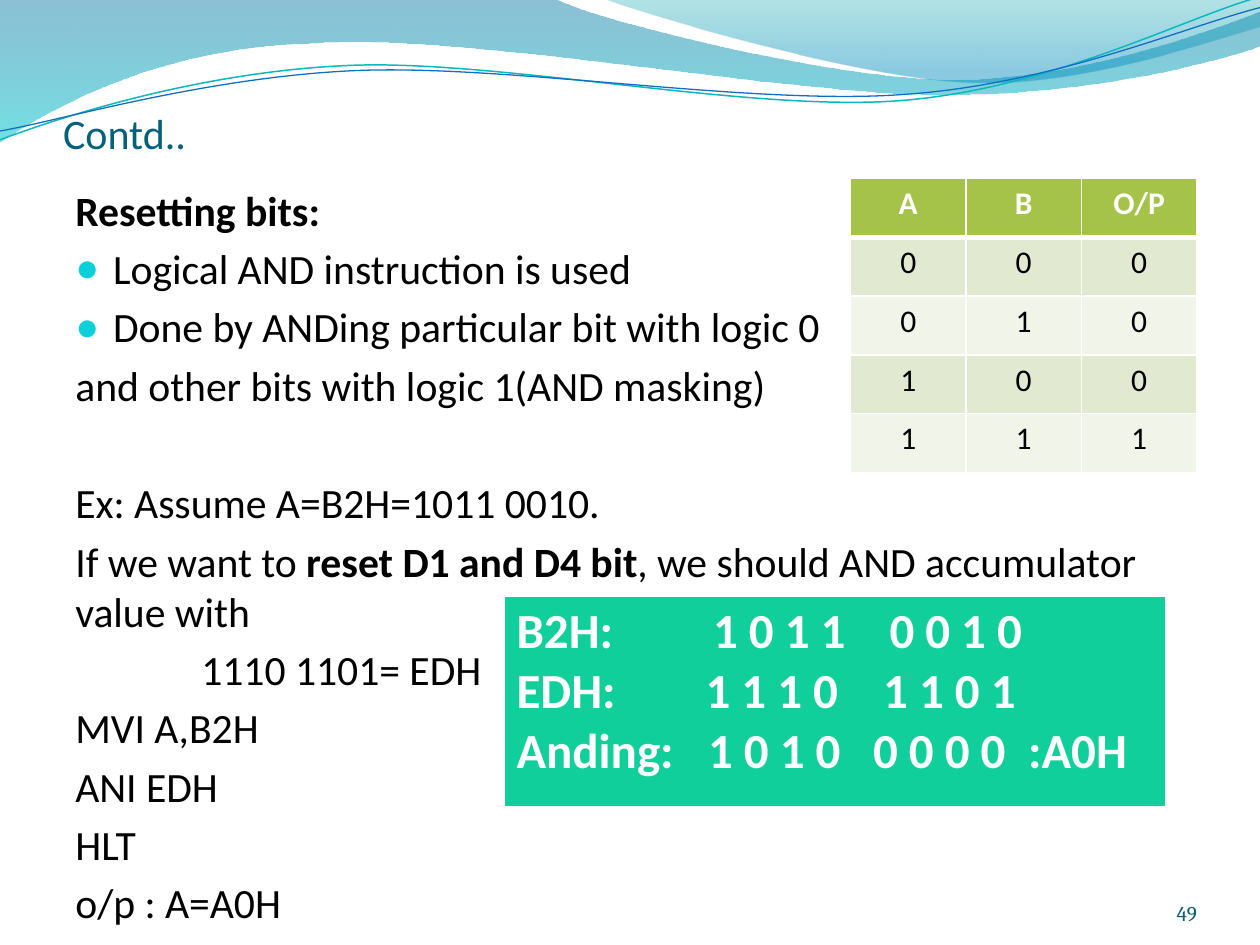
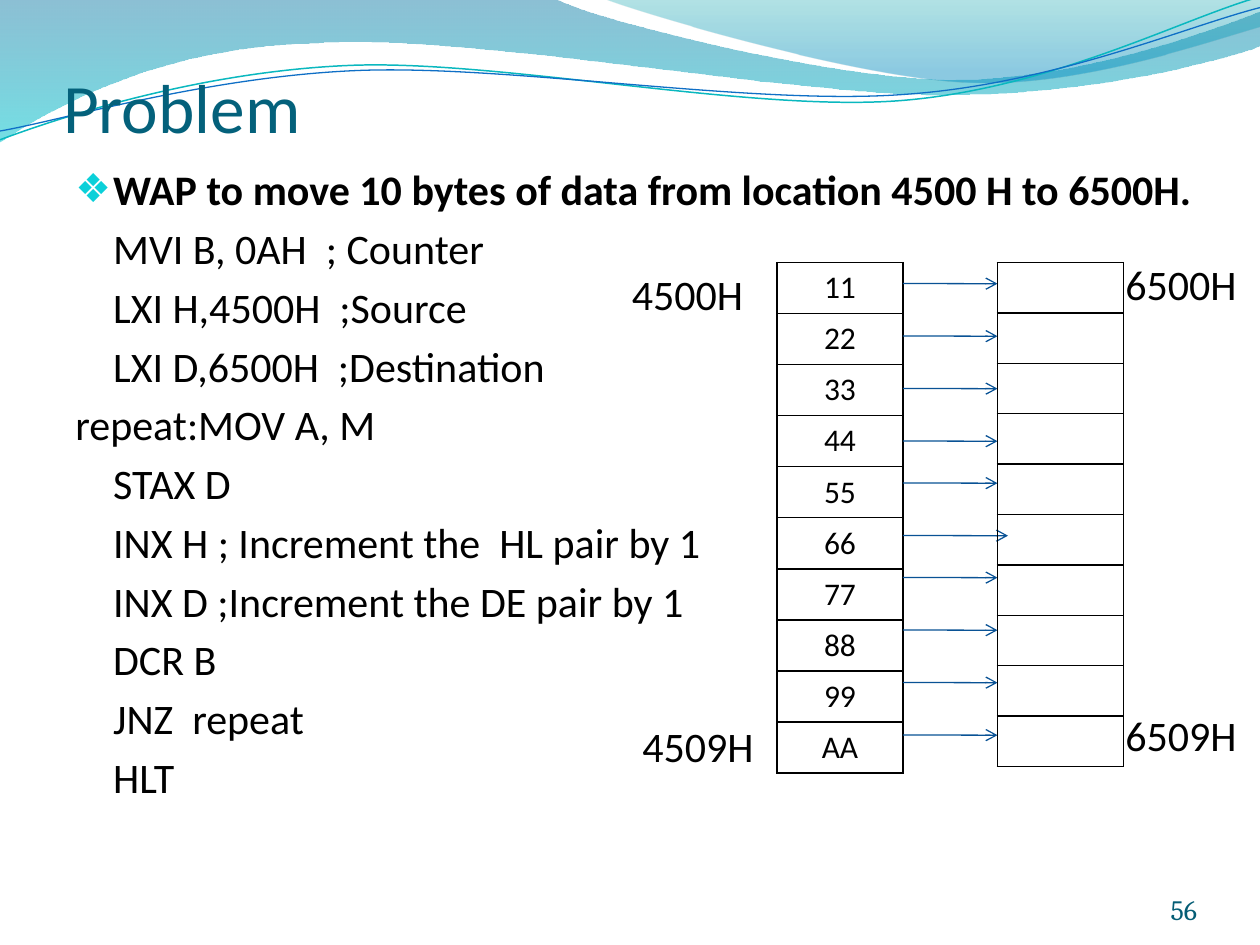
from dataclasses import dataclass
from math import cos, radians, sin
from typing import Any, Optional, Sequence

from lxml.etree import SubElement
from pptx import Presentation
from pptx.dml.color import RGBColor
from pptx.enum.shapes import MSO_CONNECTOR
from pptx.enum.text import MSO_ANCHOR, MSO_AUTO_SIZE, PP_ALIGN
from pptx.oxml.ns import qn
from pptx.util import Emu, Inches, Pt

COLS, ROWS = 120, 90  # slide grid: twelve units to the inch


@dataclass(frozen=True)
class Theme:
    """Colours, fonts and type sizes of the deck."""
    font: str = "Calibri"
    number_font: str = "Cambria"
    title: str = "04617B"
    text: str = "000000"
    light: str = "FFFFFF"
    number: str = "045D75"
    bullet: str = "0BD0D9"
    arrow: str = "095295"
    header: str = "A5C249"
    bands: tuple = ("E1E9D0", "F0F4E9")
    panel: str = "10CF9B"
    cell_size: float = 18
    panel_size: float = 28
    label_size: float = 24


@dataclass(frozen=True)
class Box:
    """A place on the slide, in grid columns and rows."""
    x: float
    y: float
    w: float
    h: float

    def emu(self) -> tuple:
        """Left, top, width and height in EMU."""
        return unit(self.x), unit(self.y), unit(self.w), unit(self.h)


@dataclass(frozen=True)
class Para:
    """A paragraph; text between ** marks is bold."""
    text: str
    left: float = 0
    first: float = 0
    bullet: str = ""
    gap: int = 20  # space before, in percent


@dataclass(frozen=True)
class Wave:
    """A header curve in inches: pairs are corners, sixes are Bezier curves."""
    frame: tuple  # left, top, width, height before turning
    start: tuple
    steps: tuple
    stops: tuple = ()  # position, colour, opacity
    line: tuple = ()  # colour, width
    turn: float = 0


T = Theme()

WAVES = (
    Wave((-0.01, -0.01, 10.02, 1.14), (0, 0),
         ((4.4, -0.01), (4.76, 0.17, 6.64, 0.63, 7.58, 0.63),
          (8.53, 0.63, 9.58, 0.26, 10, 0.09), (10.01, 0.36),
          (9.83, 0.44, 8.7, 0.76, 7.46, 0.75), (6.22, 0.75, 3.82, 0.28, 2.57, 0.34),
          (1.29, 0.36, 0.46, 0.83, -0.01, 1.13), (0, 0)),
         stops=((0, "0074A1", 45), (1, "00C6CF", 55))),
    Wave((4.79, -0.01, 5.21, 0.7), (4.79, -0.01),
         ((5.09, 0.11, 6.82, 0.62, 7.69, 0.65), (8.56, 0.69, 9.61, 0.32, 10, 0.21),
          (10, 0), (4.79, -0.01)),
         stops=((0, "00A1A9", 30), (0.8, "008BBF", 45))),
    Wave((-0.02, 0.22, 10.02, 0.71), (0, 1.11),
         ((0.48, 0.93, 1.58, 0.57, 2.77, 0.52), (3.95, 0.47, 5.93, 0.89, 7.13, 0.8),
          (8.33, 0.71, 9.38, 0.15, 9.98, -0.02)), line=("0AB8BF", 0.85), turn=357.3),
    Wave((-0.02, 0.3, 10.03, 0.58), (0, 1.04),
         ((0.47, 0.96, 1.64, 0.61, 2.83, 0.56), (4.03, 0.51, 5.97, 0.84, 7.17, 0.75),
          (8.36, 0.67, 9.41, 0.21, 10, 0.06)), line=("0F6FC6", 0.75), turn=357.3),
)


def unit(n: float) -> Emu:
    """Grid units as a length."""
    return Inches(n / 12)


def rgb(code: str) -> RGBColor:
    """A colour from its hex code."""
    return RGBColor.from_string(code)


def apply(obj: Any, values: dict) -> None:
    """Set each named attribute of an object."""
    for name, value in values.items():
        setattr(obj, name, value)


def place(sp: Any, lengths: Sequence[int]) -> None:
    """Set left, top, width and height."""
    apply(sp, dict(zip(("left", "top", "width", "height"), lengths)))


def add_run(p: Any, text: str, size: float, color: str = T.text,
            bold: bool = False, font: str = T.font) -> None:
    """Add formatted text to a paragraph."""
    r = p.add_run()
    r.text = text
    apply(r.font, {"size": Pt(size), "name": font, "bold": bold})
    r.font.color.rgb = rgb(color)


def add_textbox(s: Any, box: Box, **frame: Any) -> Any:
    """Add a wrapping text box and return its frame."""
    tf = s.shapes.add_textbox(*box.emu()).text_frame
    apply(tf, {"word_wrap": True, **frame})
    return tf


def add_label(s: Any, box: Box, text: str) -> None:
    """Write a memory address."""
    tf = add_textbox(s, box, auto_size=MSO_AUTO_SIZE.SHAPE_TO_FIT_TEXT)
    add_run(tf.paragraphs[0], text, T.label_size)


def format_para(p: Any, para: Para) -> None:
    """Set the indents, space before and bullet of a paragraph."""
    pPr = p._p.get_or_add_pPr()
    for name, inches in {"marL": para.left, "indent": para.first}.items():
        pPr.set(name, str(Inches(inches)))
    SubElement(SubElement(pPr, qn("a:spcBef")), qn("a:spcPct"), val=str(para.gap * 1000))
    if para.bullet:
        SubElement(SubElement(pPr, qn("a:buClr")), qn("a:srgbClr"), val=T.bullet)
        SubElement(pPr, qn("a:buSzPct"), val="95000")
        SubElement(pPr, qn("a:buFont"), typeface="Arial")
        SubElement(pPr, qn("a:buChar"), char=para.bullet)


def add_body(s: Any, box: Box, size: float, paras: Sequence[Para]) -> None:
    """Write the body text."""
    tf = add_textbox(s, box)
    for i, para in enumerate(paras):
        p = tf.add_paragraph() if i else tf.paragraphs[0]
        format_para(p, para)
        for n, part in enumerate(para.text.split("**")):
            if part:
                add_run(p, part, size, bold=n % 2 == 1)


def style_cell(cell: Any, border: str, fill: Optional[str], bottom: float = 1) -> None:
    """Draw the borders of a cell, then its fill."""
    tcPr = cell._tc.get_or_add_tcPr()
    for side, width in {"L": 1, "R": 1, "T": 1, "B": bottom}.items():
        ln = SubElement(tcPr, qn(f"a:ln{side}"), w=str(Pt(width)))
        SubElement(SubElement(ln, qn("a:solidFill")), qn("a:srgbClr"), val=border)
    if fill:
        cell.fill.solid()
        cell.fill.fore_color.rgb = rgb(fill)
    else:
        cell.fill.background()


def add_grid(s: Any, box: Box, rows: int, cols: int) -> Any:
    """Add a plain table with equal rows and columns."""
    table = s.shapes.add_table(rows, cols, *box.emu()).table
    apply(table, {"first_row": False, "horz_banding": False})
    return table


def add_truth_table(s: Any, box: Box, rows: Sequence[str]) -> None:
    """Add a banded truth table whose first row is the header."""
    table = add_grid(s, box, len(rows), len(rows[0].split()))
    for i, row in enumerate(rows):
        head = i == 0
        for j, text in enumerate(row.split()):
            cell = table.cell(i, j)
            style_cell(cell, T.light, T.header if head else T.bands[(i - 1) % 2],
                       3 if head else 1)
            p = cell.text_frame.paragraphs[0]
            p.alignment = PP_ALIGN.CENTER
            add_run(p, text, T.cell_size, T.light if head else T.text, head)


def add_panel(s: Any, box: Box, lines: dict) -> None:
    """Add a one-cell table; each line has its tab stops, in inches."""
    cell = add_grid(s, box, 1, 1).cell(0, 0)
    style_cell(cell, T.light, T.panel, 3)
    tf = cell.text_frame
    for i, (line, stops) in enumerate(lines.items()):
        p = tf.add_paragraph() if i else tf.paragraphs[0]
        tabs = SubElement(p._p.get_or_add_pPr(), qn("a:tabLst"))
        for stop in stops:
            SubElement(tabs, qn("a:tab"), pos=str(Inches(stop)), algn="l")
        add_run(p, line, T.panel_size, T.light, True)


def add_memory(s: Any, box: Box, values: Sequence[str]) -> None:
    """Add a column of memory cells; empty values leave empty cells."""
    table = add_grid(s, box, len(values), 1)
    for i, value in enumerate(values):
        cell = table.cell(i, 0)
        style_cell(cell, T.text, None)
        p = cell.text_frame.paragraphs[0]
        p.alignment = PP_ALIGN.CENTER
        if value:
            add_run(p, value, T.cell_size)
        else:
            apply(cell, {"margin_top": 0, "margin_bottom": 0})


def add_arrow(s: Any, x1: float, x2: float, y: float) -> None:
    """Draw an almost level arrow to the right."""
    sp = s.shapes.add_connector(MSO_CONNECTOR.STRAIGHT, unit(x1), unit(y),
                                unit(x2), unit(y + 0.02))
    sp.line.width = Pt(0.75)
    sp.line.color.rgb = rgb(T.arrow)
    SubElement(sp.line._get_or_add_ln(), qn("a:tailEnd"), type="arrow")
    SubElement(sp._element.spPr, qn("a:effectLst"))


def shape_wave(sp: Any, wave: Wave) -> None:
    """Give a freeform the frame, the turn and the curves of a wave."""
    left, top, width, height = wave.frame
    place(sp, [Inches(n) for n in wave.frame])
    sp.rotation = wave.turn
    c, d = cos(radians(wave.turn)), sin(radians(wave.turn))
    outline = next(sp._element.iter(qn("a:path")))
    outline.clear()
    for name, inches in {"w": width, "h": height}.items():
        outline.set(name, str(Inches(inches)))
    for i, step in enumerate((wave.start, *wave.steps)):
        kind = "moveTo" if i == 0 else "lnTo" if len(step) == 2 else "cubicBezTo"
        node = SubElement(outline, qn(f"a:{kind}"))
        for x, y in zip(step[::2], step[1::2]):
            dx, dy = x - left - width / 2, y - top - height / 2
            SubElement(node, qn("a:pt"), x=str(Inches(c * dx + d * dy + width / 2)),
                       y=str(Inches(c * dy - d * dx + height / 2)))
    if wave.stops:
        SubElement(outline, qn("a:close"))


def add_waves(s: Any, layout: Any) -> None:
    """Draw the header waves and move them to the layout all slides share."""
    for i, wave in enumerate(WAVES):
        builder = s.shapes.build_freeform(0, 0)
        builder.add_line_segments([(Inches(1), Inches(1))], close=False)
        sp = builder.convert_to_shape()
        shape_wave(sp, wave)
        sp.shadow.inherit = False
        if wave.stops:
            sp.line.fill.background()
            sp.fill.gradient()
            sp.fill.gradient_angle = 270
            for stop, (position, color, opacity) in zip(sp.fill.gradient_stops, wave.stops):
                stop.position = position
                stop.color.rgb = rgb(color)
                clr = stop._gs.find(qn("a:srgbClr"))
                SubElement(clr, qn("a:alpha"), val=str(opacity * 1000))
        else:
            sp.fill.background()
            color, width = wave.line
            sp.line.color.rgb = rgb(color)
            sp.line.width = Pt(width)
        sp._element.nvSpPr.cNvPr.set("id", str(100 + i))
        layout.shapes._spTree.append(sp._element)


def add_slide(prs: Any, title: str, box: Box, size: float, number: str, number_size: float) -> Any:
    """Add a slide with its title and page number."""
    s = prs.slides.add_slide(prs.slide_layouts[5])
    sp = s.shapes.title
    place(sp, box.emu())
    flush = {"margin_left": 0, "margin_right": 0, "margin_bottom": 0,
             "vertical_anchor": MSO_ANCHOR.BOTTOM}
    apply(sp.text_frame, {**flush, "margin_top": Inches(0.05), "auto_size": MSO_AUTO_SIZE.NONE})
    p = sp.text_frame.paragraphs[0]
    p.alignment = PP_ALIGN.LEFT
    add_run(p, title, size, T.title)
    p = add_textbox(s, Box(104, 83.4, 10, 4.8), margin_top=0, **flush).paragraphs[0]
    p.alignment = PP_ALIGN.RIGHT
    add_run(p, number, number_size, T.number, font=T.number_font)
    return s


def resetting_slide(prs: Any) -> Any:
    """Resetting bits with an AND mask."""
    s = add_slide(prs, "Contd..", Box(6, 9.24, 108, 5.76), 24, "49", 12)
    dot = {"left": 0.3, "first": -0.3, "bullet": "●"}
    add_body(s, Box(6, 17, 108, 66), 23.8, (
        Para("**Resetting bits:**"),
        Para("Logical AND instruction is used", **dot),
        Para("Done by ANDing particular bit with logic 0 ", **dot),
        Para("and other bits with logic 1(AND masking)"),
        Para("Ex: Assume A=B2H=1011 0010.", gap=162),
        Para("If we want to **reset D1 and D4 bit**, we should AND accumulator value with "),
        Para("1110 1101= EDH", left=1),
        *map(Para, ("MVI A,B2H", "ANI EDH", "HLT", "o/p : A=A0H"))))
    add_truth_table(s, Box(81, 17, 33, 28), ("A B O/P", "0 0 0", "0 1 0", "1 0 0", "1 1 1"))
    add_panel(s, Box(48, 56.75, 63, 20.25), {
        "B2H:\t1 0 1 1\t0 0 1 0": (1.56, 2.96),
        "EDH:\t1 1 1 0\t1 1 0 1": (1.5, 2.91),
        "Anding:\t1 0 1 0\t0 0 0 0\t:A0H": (1.52, 2.83, 4.06)})
    return s


def problem_slide(prs: Any) -> None:
    """Moving a block of ten bytes."""
    s = add_slide(prs, "Problem", Box(6, 9.24, 108, 4.8), 39.6, "56", 16)
    code = ("MVI B, 0AH  ; Counter", "LXI H,4500H  ;Source", "LXI D,6500H  ;Destination",
            "repeat:MOV A, M ", "STAX D ", "INX H ; Increment the  HL pair by 1  ",
            "INX D ;Increment the DE pair by 1 ", "DCR B ", "JNZ  repeat ", "HLT")
    add_body(s, Box(6, 15, 114, 68), 24, (
        Para("**WAP to move 10 bytes of data from location 4500 H to 6500H.**", 0.3, -0.3, "❖"),
        *(Para(line, 0 if line.startswith("repeat") else 0.3) for line in code)))
    values = [str(11 * n) for n in range(1, 10)] + ["AA"]
    add_memory(s, Box(74, 25, 12, 48.65), values)
    for y in (27, 32, 37, 42, 46, 51, 55, 60, 65, 70):
        add_arrow(s, 86, 96 if y == 51 else 95, y)
    add_memory(s, Box(95, 25, 12, 48), [""] * len(values))
    for x, y, text in ((59, 25, "4500H"), (106, 67, "6509H"), (106, 24, "6500H"), (60, 68, "4509H")):
        add_label(s, Box(x, y, 14, 6), text)


prs = Presentation()
apply(prs, {"slide_width": unit(COLS), "slide_height": unit(ROWS)})
add_waves(resetting_slide(prs), prs.slide_layouts[5])
problem_slide(prs)
prs.save("out.pptx")
